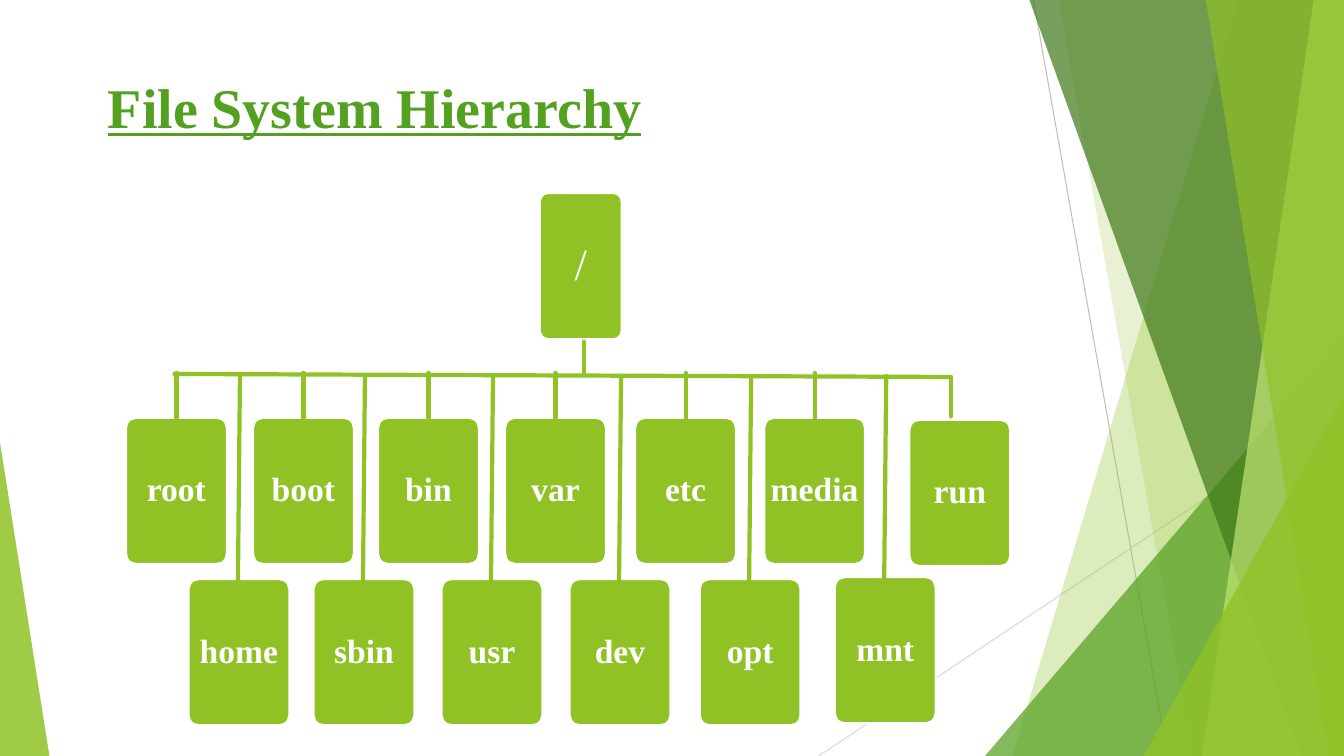
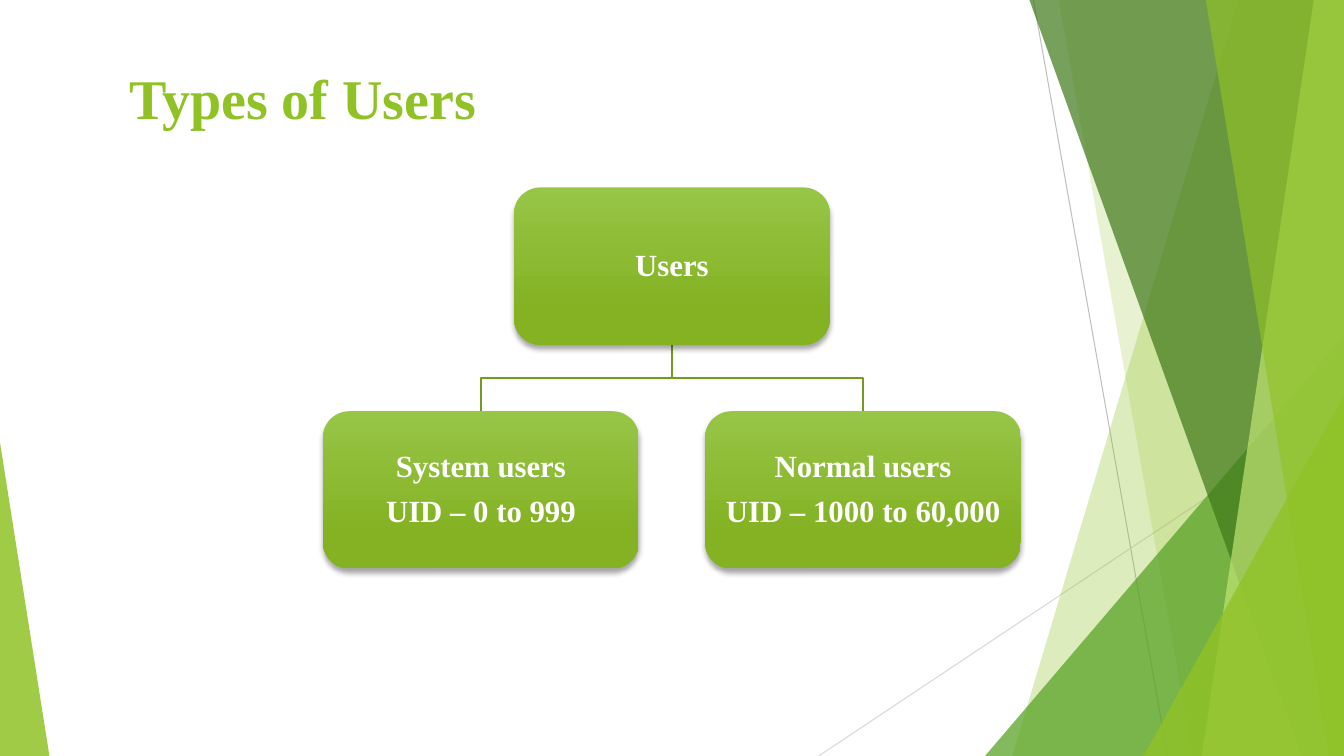
from pptx import Presentation
from pptx.dml.color import RGBColor
from pptx.enum.shapes import MSO_CONNECTOR, MSO_SHAPE
from pptx.enum.text import MSO_ANCHOR, MSO_AUTO_SIZE, PP_ALIGN
from pptx.oxml.ns import qn
from pptx.oxml.xmlchemy import OxmlElement
from pptx.util import Inches, Pt

STRAIGHT = MSO_CONNECTOR.STRAIGHT
TRIANGLE = MSO_SHAPE.ISOSCELES_TRIANGLE
ROUNDED = MSO_SHAPE.ROUNDED_RECTANGLE
CENTER, LEFT = PP_ALIGN.CENTER, PP_ALIGN.LEFT
MIDDLE, TOP = MSO_ANCHOR.MIDDLE, MSO_ANCHOR.TOP

WIDTH, HEIGHT = 13.33, 7.5
FONT = "Times New Roman"
COLORS = {
    "lime": "90C226", "green": "54A021", "forest": "3F7819", "pale": "C0E474",
    "branch": "739B1E", "card top": "97C547", "card bottom": "84B223",
    "white": "FFFFFF", "black": "000000", "gray": "BFBFBF", "light gray": "D9D9D9",
}

# Background: hairlines (from, to, colour), then facets from back to front.
HAIRLINES = [
    ((10.25, 0), (11.58, HEIGHT), "gray"),
    ((WIDTH, 4.03), (8.12, HEIGHT), "light gray"),
]
# A band reaches the right edge: (top x, bottom x, colour, opacity %).
# A triangle stands on the bottom edge: (left, top, width, apex, colour, opacity %).
FACETS = [
    ("band", 12.28, 10.04, "lime", 30),
    ("band", 10.5, 11.83, "lime", 20),
    ("triangle", 9.77, 3.33, 3.56, 1, "green", 72),
    ("band", 10.21, 12.91, "forest", 70),
    ("band", 13.03, 11.92, "pale", 70),
    ("band", 11.96, 13.18, "lime", 65),
    ("triangle", 11.34, 3.93, 1.99, 1, "lime", 80),
    ("triangle", 0, 4.39, 0.49, 0, "lime", 85),
]

# Directories: (name, centre x, centre y)
UPPER_Y, LOWER_Y = 4.87, 6.47
UPPER = [
    ("root", 1.75, UPPER_Y), ("boot", 3.01, UPPER_Y), ("bin", 4.25, UPPER_Y),
    ("var", 5.51, UPPER_Y), ("etc", 6.8, UPPER_Y), ("media", 8.08, UPPER_Y),
    ("run", 9.52, 4.89),
]
LOWER = [
    ("home", 2.37, LOWER_Y), ("sbin", 3.61, LOWER_Y), ("usr", 4.88, LOWER_Y),
    ("dev", 6.15, LOWER_Y), ("opt", 7.44, LOWER_Y), ("mnt", 8.78, 6.45),
]
TREE_TOP = ("/", 5.76, 2.64)
DIR_W, DIR_H = 1.0, 1.45
BAR_START, BAR_END = (1.73, 3.71), (9.43, 3.74)

USERS = ["Users"]
USER_TYPES = [
    ["System users", "UID – 0 to 999"],
    ["Normal users", "UID – 1000 to 60,000"],
]
CARD_W, CARD_H = 3.13, 1.56
CARD_STEP = 3.79
CARD_TOPS = (1.86, 4.08)


def rgb(name):
    return RGBColor.from_string(COLORS[name])


def add_child(parent, tag, **attributes):
    child = OxmlElement(tag)
    for key, value in attributes.items():
        child.set(key, str(value))
    parent.append(child)
    return child


def add_line(slide, start, end, color, weight):
    line = slide.shapes.add_connector(STRAIGHT, *map(Inches, start + end))
    line.line.color.rgb = rgb(color)
    line.line.width = Pt(weight)
    line.line._get_or_add_ln().set("cap", "rnd")
    add_child(line.element.spPr, "a:effectLst")
    return line


def add_path(slide, points, close):
    corners = [(Inches(x), Inches(y)) for x, y in points]
    builder = slide.shapes.build_freeform(*corners[0], scale=1.0)
    builder.add_line_segments(corners[1:], close=close)
    path = builder.convert_to_shape()
    path.shadow.inherit = False
    return path


def add_facet(slide, kind, *details):
    *geometry, color, opacity = details
    if kind == "band":
        top_x, bottom_x = geometry
        facet = add_path(slide, [(top_x, 0), (WIDTH, 0), (WIDTH, HEIGHT),
                                 (bottom_x, HEIGHT)], True)
    else:
        left, top, width, apex = geometry
        facet = slide.shapes.add_shape(
            TRIANGLE, *map(Inches, (left, top, width, HEIGHT - top)))
        facet.adjustments[0] = apex
        facet.shadow.inherit = False
    facet.fill.solid()
    facet.fill.fore_color.rgb = rgb(color)
    add_child(facet.element.spPr.find(".//" + qn("a:srgbClr")),
              "a:alpha", val=opacity * 1000)
    facet.line.fill.background()
    return facet


def decorate_layout(layout, slide):
    """Draw the background with the slide's tools, then hand it to the layout."""
    for holder in list(layout.placeholders)[1:]:
        holder.element.getparent().remove(holder.element)
    parts = [add_line(slide, *hairline, 0.75) for hairline in HAIRLINES]
    parts += [add_facet(slide, *facet) for facet in FACETS]
    for part in parts:
        layout.shapes.element.append(part.element)


def set_title(slide, text, box, color, underline=False):
    title = slide.shapes.title
    title.left, title.top, title.width, title.height = map(Inches, box)
    frame = title.text_frame
    frame.text = text
    frame.auto_size = MSO_AUTO_SIZE.NONE
    frame.vertical_anchor = TOP
    paragraph = frame.paragraphs[0]
    paragraph.alignment = LEFT
    font = paragraph.font
    font.name, font.size, font.bold = FONT, Pt(40), True
    font.underline = underline
    font.color.rgb = rgb(color)


def add_node(slide, lines, center_x, top, width, height, size, bold=True):
    node = slide.shapes.add_shape(
        ROUNDED, *map(Inches, (center_x - width / 2, top, width, height)))
    node.shadow.inherit = False
    frame = node.text_frame
    frame.word_wrap = False
    frame.vertical_anchor = MIDDLE
    frame.margin_left = frame.margin_right = 0
    frame.text = "\n".join(lines)
    for paragraph in frame.paragraphs:
        paragraph.alignment = CENTER
        paragraph.line_spacing = 0.9
        paragraph.space_after = Pt(0.4 * size)
        font = paragraph.font
        font.name, font.size, font.bold = FONT, Pt(size), bold
        font.color.rgb = rgb("white")
    return node


def add_directory(slide, name, x, y, width=DIR_W, size=24, bold=True):
    node = add_node(slide, [name], x, y - DIR_H / 2, width, DIR_H, size, bold)
    node.adjustments[0] = 0.1
    node.fill.solid()
    node.fill.fore_color.rgb = rgb("lime")
    node.line.color.rgb = rgb("white")
    node.line.width = Pt(1.5)


def add_user_card(slide, lines, center_x, top):
    card = add_node(slide, lines, center_x, top, CARD_W, CARD_H, 22)
    card.fill.gradient()
    card.fill.gradient_angle = 270
    stops = zip(card.fill.gradient_stops, (0, 0.78), ("card top", "card bottom"))
    for stop, position, color in stops:
        stop.position = position
        stop.color.rgb = rgb(color)
    card.line.fill.background()
    effects = card.element.spPr.find(qn("a:effectLst"))
    shadow = add_child(effects, "a:outerShdw", blurRad=Pt(4), dist=Pt(3),
                       dir=90 * 60000, rotWithShape=0)
    shade = add_child(shadow, "a:srgbClr", val=COLORS["black"])
    add_child(shade, "a:alpha", val=35000)


def build_hierarchy(slide):
    set_title(slide, "File System Hierarchy", (0.97, 0.67, 6.5, 0.77), "green", True)
    add_directory(slide, *TREE_TOP, width=0.81, size=32, bold=False)
    for directory in UPPER + LOWER:
        add_directory(slide, *directory)

    def branch(start, end):
        add_line(slide, start, end, "lime", 3)

    branch(BAR_START, BAR_END)
    branch((5.79, 3.39), (5.79, BAR_START[1]))
    for _, x, _ in UPPER[:-1]:
        branch((x, 3.7), (x, UPPER_Y - DIR_H / 2))
    branch(BAR_END, (BAR_END[0], 4.13))
    for _, x, y in LOWER:
        branch((x + 0.01, 3.73), (x - 0.01, y - DIR_H / 2 + 0.01))


def build_users(slide):
    set_title(slide, "Types of Users", (1.18, 0.58, 6.67, 0.61), "lime")
    middle = WIDTH / 2
    parent_top, child_top = CARD_TOPS
    parent_bottom = parent_top + CARD_H
    fork_y = (parent_bottom + child_top) / 2
    centers = [middle - CARD_STEP / 2, middle + CARD_STEP / 2]
    for x in centers:
        branch = add_path(slide, [(middle, parent_bottom), (middle, fork_y),
                                  (x, fork_y), (x, child_top)], False)
        branch.fill.background()
        branch.line.color.rgb = rgb("branch")
        branch.line.width = Pt(1.5)
    add_user_card(slide, USERS, middle, parent_top)
    for lines, x in zip(USER_TYPES, centers):
        add_user_card(slide, lines, x, child_top)


def main():
    deck = Presentation()
    deck.slide_width, deck.slide_height = Inches(WIDTH), Inches(HEIGHT)
    layout = deck.slide_layouts.get_by_name("Title Only")
    hierarchy, users = (deck.slides.add_slide(layout) for _ in range(2))
    decorate_layout(layout, hierarchy)
    build_hierarchy(hierarchy)
    build_users(users)
    deck.save("out.pptx")


if __name__ == "__main__":
    main()
